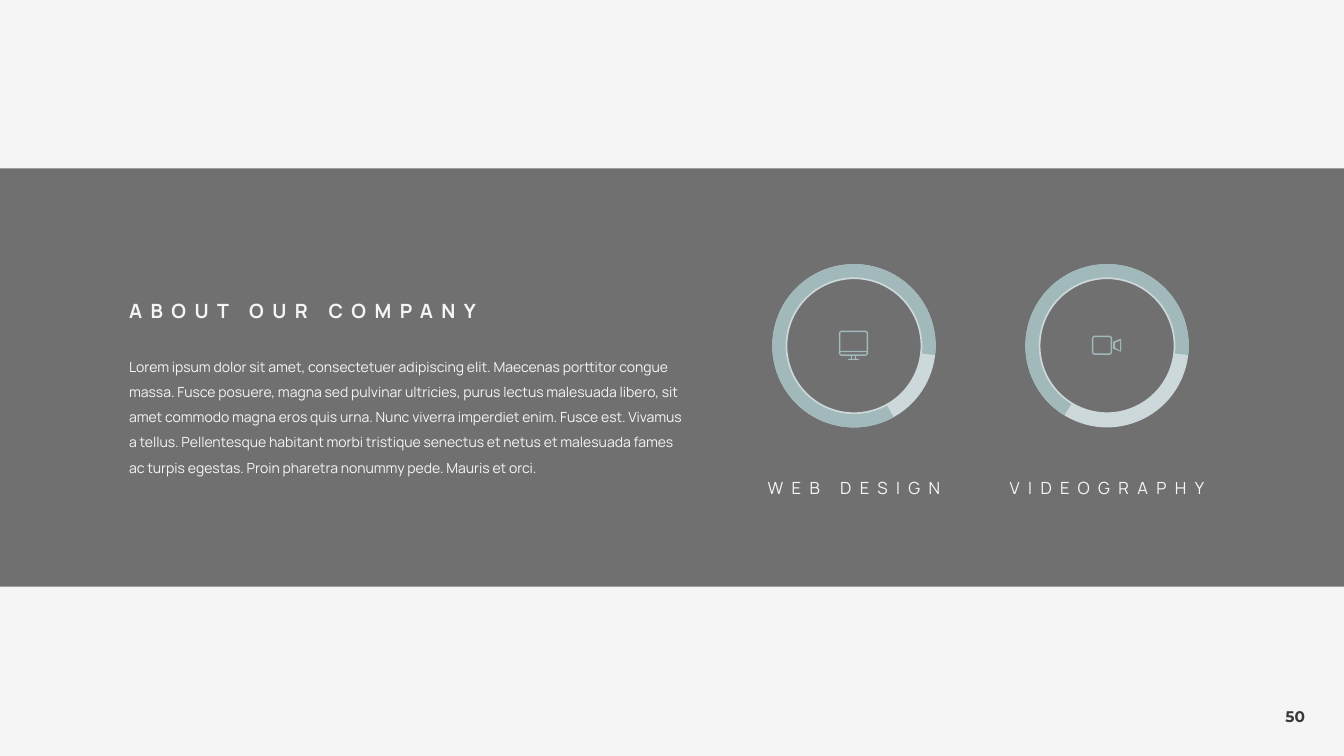
from dataclasses import dataclass
from math import cos, pi, sin

from lxml.etree import SubElement
from pptx import Presentation
from pptx.dml.color import RGBColor
from pptx.enum.shapes import MSO_SHAPE
from pptx.enum.text import MSO_ANCHOR, MSO_AUTO_SIZE, PP_ALIGN
from pptx.oxml.ns import qn
from pptx.util import Inches, Pt


@dataclass(frozen=True)
class Theme:
    """Colours, fonts and type sizes of the slide."""
    paper: str = "F5F5F5"
    ink: str = "38383A"
    track: str = "CDD8DA"
    accent: str = "A1B9BB"
    font: str = "Manrope"
    number_font: str = "Montserrat"
    title_size: int = 14
    label_size: int = 12
    number_size: int = 11
    body_size: int = 10
    letter_spacing: int = 6


THEME = Theme()
STROKE = Pt(1)
RING_TOP, RING_SIZE = 2.62, 1.62
LABEL_TOP, LABEL_WIDTH, LABEL_HEIGHT = 4.6, 2.61, 0.37
ARC_END = 6.52
BODY = (
    "Lorem ipsum dolor sit amet, consectetuer adipiscing elit. Maecenas porttitor congue "
    "massa. Fusce posuere, magna sed pulvinar ultricies, purus lectus malesuada libero, sit "
    "amet commodo magna eros quis urna. Nunc viverra imperdiet enim. Fusce est. Vivamus "
    "a tellus. Pellentesque habitant morbi tristique senectus et netus et malesuada fames "
    "ac turpis egestas. Proin pharetra nonummy pede. Mauris et orci."
)


def place(shape, left, top, width, height):
    """Move and size a shape in inches."""
    shape.left, shape.top = Inches(left), Inches(top)
    shape.width, shape.height = Inches(width), Inches(height)


def paint(shape, color):
    """Give a shape a plain fill without line or shadow."""
    shape.shadow.inherit = False
    shape.fill.solid()
    shape.fill.fore_color.rgb = RGBColor.from_string(color)
    shape.line.fill.background()


def write(shape, text, size, font=THEME.font, color=THEME.paper, bold=False, spacing=0,
          align=PP_ALIGN.LEFT, anchor=MSO_ANCHOR.TOP, line_spacing=1.5, wrap=True):
    """Write one formatted paragraph into a shape."""
    frame = shape.text_frame
    frame.word_wrap = wrap
    frame.auto_size = MSO_AUTO_SIZE.SHAPE_TO_FIT_TEXT
    frame.vertical_anchor = anchor
    paragraph = frame.paragraphs[0]
    paragraph.alignment = align
    paragraph.line_spacing = line_spacing
    paragraph.space_before = Pt(0)
    run = paragraph.add_run()
    run.text = text
    run.font.name, run.font.size, run.font.bold = font, Pt(size), bold
    run.font.color.rgb = RGBColor.from_string(color)
    if spacing:
        run.font._element.set("spc", str(spacing * 100))


def remove_bullet(paragraph):
    """Drop the bullet and hanging indent of a paragraph."""
    properties = paragraph._p.get_or_add_pPr()
    properties.set("marL", "0")
    properties.set("indent", "0")
    SubElement(properties, qn("a:buNone"))


def add_band(slide):
    """Add the translucent band behind all other elements."""
    band = slide.shapes.add_shape(MSO_SHAPE.RECTANGLE, 0, Inches(1.67), Inches(13.33), Inches(4.15))
    paint(band, THEME.ink)
    color = band._element.spPr.find(qn("a:solidFill")).find(qn("a:srgbClr"))
    SubElement(color, qn("a:alpha")).set("val", "70000")
    band._element.getparent().insert(2, band._element)


def rounded_box(left, top, width, height, radius=0):
    """Return the outline points of a box with rounded corners."""
    if not radius:
        return [(left, top), (left + width, top), (left + width, top + height), (left, top + height)]
    points = []
    corners = rounded_box(left + radius, top + radius, width - 2 * radius, height - 2 * radius)
    for corner, (x, y) in enumerate(corners):
        for step in range(7):
            angle = pi + corner * pi / 2 + step * pi / 12
            points.append((x + radius * cos(angle), y + radius * sin(angle)))
    return points


def hollow_box(*box):
    """Return the outer and inner outlines of a rounded frame."""
    left, top, width, height, radius = map(Inches, box)
    inner = (left + STROKE, top + STROKE, width - 2 * STROKE, height - 2 * STROKE, radius - STROKE)
    return [rounded_box(left, top, width, height, radius), rounded_box(*inner)]


def solid_box(*box):
    """Return the outline of a plain box given in inches."""
    return rounded_box(*map(Inches, box))


def in_inches(*points):
    """Turn points in inches into lengths."""
    return [(Inches(x), Inches(y)) for x, y in points]


def monitor_outlines():
    """Return the outlines of the monitor icon."""
    screen_bar = rounded_box(Inches(8.32) + STROKE, Inches(3.48), Inches(0.29) - 2 * STROKE, STROKE)
    legs = [solid_box(left, 3.53, 0.01, 0.03) for left in (8.44, 8.48)]
    return hollow_box(8.32, 3.28, 0.29, 0.25, 0.03) + [screen_bar, *legs, solid_box(8.41, 3.56, 0.11, 0.01)]


def camera_outlines():
    """Return the outlines of the video camera icon."""
    return hollow_box(10.83, 3.33, 0.2, 0.19, 0.03) + [
        in_inches((11.04, 3.39), (11.12, 3.36), (11.12, 3.49), (11.04, 3.46)),
        in_inches((11.06, 3.4), (11.11, 3.38), (11.11, 3.48), (11.06, 3.45)),
    ]


def add_icon(shapes, outlines):
    """Draw closed outlines as one filled icon."""
    builder = shapes.build_freeform(*outlines[0][0])
    for index, outline in enumerate(outlines):
        if index:
            builder.move_to(*outline[0])
        builder.add_line_segments(outline[1:], close=True)
    paint(builder.convert_to_shape(), THEME.accent)


def add_ring(shapes, kind, left, color, adjustments):
    """Add one ring-shaped element of a gauge."""
    ring = shapes.add_shape(kind, Inches(left), Inches(RING_TOP), Inches(RING_SIZE), Inches(RING_SIZE))
    for index, value in enumerate(adjustments):
        ring.adjustments[index] = value
    paint(ring, color)


def add_gauge(slide, left, label, arc_start, outlines):
    """Add a grouped progress ring with its icon and label."""
    shapes = slide.shapes.add_group_shape().shapes
    label_left = left + (RING_SIZE - LABEL_WIDTH) / 2
    box = shapes.add_textbox(Inches(label_left), Inches(LABEL_TOP), Inches(LABEL_WIDTH), Inches(LABEL_HEIGHT))
    write(box, label, THEME.label_size, spacing=THEME.letter_spacing,
          align=PP_ALIGN.CENTER, anchor=MSO_ANCHOR.MIDDLE)
    add_icon(shapes, outlines)
    add_ring(shapes, MSO_SHAPE.DONUT, left, THEME.track, [0.092])
    arc = [arc_start * 0.6, ARC_END * 0.6, 0.081]
    add_ring(shapes, MSO_SHAPE.BLOCK_ARC, left, THEME.accent, arc)


def main():
    """Build and save the slide."""
    presentation = Presentation()
    presentation.slide_width, presentation.slide_height = Inches(13.33), Inches(7.5)
    slide = presentation.slides.add_slide(presentation.slide_layouts[1])
    slide.background.fill.solid()
    slide.background.fill.fore_color.rgb = RGBColor.from_string(THEME.paper)
    add_band(slide)

    title, body = slide.shapes.title, slide.placeholders[1]
    place(title, 1.18, 2.8, 5.71, 0.41)
    write(title, "ABOUT OUR COMPANY", THEME.title_size, bold=True, spacing=THEME.letter_spacing)
    place(body, 1.18, 3.42, 5.71, 1.36)
    remove_bullet(body.text_frame.paragraphs[0])
    write(body, BODY, THEME.body_size)

    add_gauge(slide, 7.66, "WEB DESIGN", 60.95, monitor_outlines())
    add_gauge(slide, 10.17, "VIDEOGRAPHY", 121.56, camera_outlines())

    number = slide.shapes.add_textbox(Inches(12.65), Inches(6.97), Inches(0.41), Inches(0.29))
    write(number, "50", THEME.number_size, font=THEME.number_font, color=THEME.ink,
          bold=True, line_spacing=1.0, wrap=False)
    presentation.save("out.pptx")


if __name__ == "__main__":
    main()
